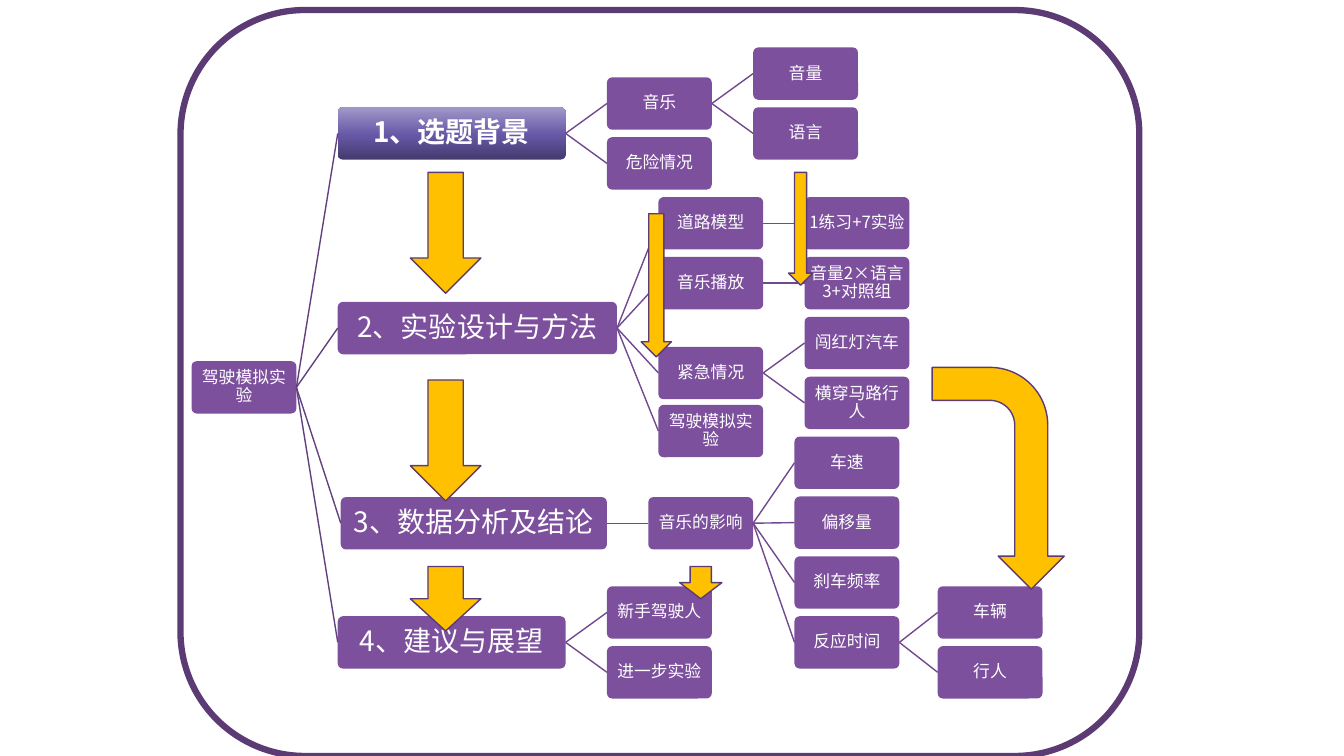
from copy import deepcopy
from lxml.etree import SubElement
from pptx import Presentation
from pptx.dml.color import RGBColor
from pptx.enum.shapes import MSO_CONNECTOR, MSO_SHAPE
from pptx.enum.text import MSO_ANCHOR, PP_ALIGN
from pptx.oxml.ns import qn
from pptx.util import Inches, Pt

FONT = "Noto Sans CJK SC"
PURPLE, EDGE, GOLD, WHITE = "7C509D", "5C3B74", "FFC000", "FFFFFF"
STEMS = ["63407E", "71498E"]  # lines from the root, lines further out
SHADES = [(0, "433A6D"), (0.48, "6859A8"), (1, "A198C9")]

# Grid in inches: ROW is the pitch of the leaves, GAP the space between levels
LEFT, TOP, ROW, GAP = 1.9, 0.47, 0.594, 0.41
WIDE, HIGH, PAD = 1.04, 0.52, 0.03


def node(text, row, *kids, wide=WIDE, shift=0):
    return dict(text=text, row=row, kids=kids, wide=wide, shift=shift)


# Mind map: text, grid row, children
TREE = node(
    "驾驶模拟实验", 5.24,
    node("1、选题背景", 1,
         node("音乐", 0.5, node("音量", 0), node("语言", 1)),
         node("危险情况", 1.5), wide=2.26),
    node("2、实验设计与方法", 4.25,
         node("道路模型", 2.5, node("1练习+7实验", 2.5)),
         node("音乐播放", 3.5, node("音量2×语言3+对照组", 3.5)),
         node("紧急情况", 5, node("闯红灯汽车", 4.5), node("横穿马路行人", 5.5)),
         node("驾驶模拟实验", 5.97), wide=2.77),
    node("3、数据分析及结论", 7.51,
         node("音乐的影响", 7.51,
              node("车速", 6.5), node("偏移量", 7.5), node("刹车频率", 8.5),
              node("反应时间", 9.5,
                   node("车辆", 9, shift=-0.03), node("行人", 10, shift=-0.03))),
         wide=2.64, shift=0.03),
    node("4、建议与展望", 9.5,
         node("新手驾驶人", 9), node("进一步实验", 10), wide=2.26),
)
FRAME = (1.79, 0.1, 9.51, 7.4)
DOWN, BENT = MSO_SHAPE.DOWN_ARROW, MSO_SHAPE.BENT_ARROW
# Arrows: shape, left, top, width, height, turn
ARROWS = [
    (DOWN, 4.07, 1.71, 0.7, 1.2, 0),
    (DOWN, 4.07, 3.77, 0.7, 1.2, 0),
    (DOWN, 4.07, 5.62, 0.7, 0.64, 0),
    (BENT, 8.8, 4.09, 2.2, 1.31, 90),
    (DOWN, 7.82, 1.71, 0.24, 1.12, 0),
    (DOWN, 6.36, 2.12, 0.3, 1.42, 0),
    (DOWN, 6.74, 5.62, 0.42, 0.32, 0),
]

deck = Presentation()
deck.slide_width, deck.slide_height = Inches(13.33), Inches(7.5)
slide = deck.slides.add_slide(deck.slide_layouts[6])
shapes = slide.shapes


def color(code):
    return RGBColor.from_string(code)


def add(kind, place, fill=None, line=None, weight=1):
    shape = shapes.add_shape(kind, *[Inches(v) for v in place])
    shape.shadow.inherit = False
    if fill:
        shape.fill.solid()
        shape.fill.fore_color.rgb = color(fill)
    else:
        shape.fill.background()
    if line:
        shape.line.color.rgb = color(line)
        shape.line.width = Pt(weight)
    else:
        shape.line.fill.background()
    return shape


def shade(shape):
    shape.fill.gradient()
    shape.fill.gradient_angle = 90
    stops = shape.element.spPr.find(qn("a:gradFill")).find(qn("a:gsLst"))
    stops.insert(1, deepcopy(stops[0]))
    for stop, (place, code) in zip(shape.fill.gradient_stops, SHADES):
        stop.position = place
        stop.color.rgb = color(code)


def label(shape, text, size, bold):
    frame = shape.text_frame
    frame.text, frame.word_wrap = text, True
    frame.vertical_anchor = MSO_ANCHOR.MIDDLE
    frame.margin_left = frame.margin_right = Inches(PAD)
    frame.margin_top = frame.margin_bottom = Inches(PAD)
    para = frame.paragraphs[0]
    para.alignment, para.line_spacing = PP_ALIGN.CENTER, 0.9
    run = para.runs[0]
    run.font.size, run.font.name, run.font.bold = Pt(size), FONT, bold
    run.font.color.rgb = color(WHITE)
    SubElement(run.font._element, qn("a:ea")).set("typeface", FONT)


def join(start, end, code):
    line = shapes.add_connector(MSO_CONNECTOR.STRAIGHT, 0, 0, 0, 0)
    line.begin_connect(start, 3)
    line.end_connect(end, 1)
    line.line.color.rgb = color(code)
    line.line.width = Pt(1)
    SubElement(line.element.spPr, qn("a:effectLst"))


def grow(item, left, level=0):
    left += item["shift"]
    place = (left, TOP + item["row"] * ROW, item["wide"], HIGH)
    box = add(MSO_SHAPE.ROUNDED_RECTANGLE, place, PURPLE)
    box.adjustments[0] = 0.1
    first = item is TREE["kids"][0]
    if first:
        shade(box)
    label(box, item["text"], 20 if level == 1 else 12, first)
    for kid in item["kids"]:
        join(box, grow(kid, left + item["wide"] + GAP, level + 1),
             STEMS[min(level, 1)])
    return box


# Mind map, frame and arrows, from back to front
grow(TREE, LEFT)
add(MSO_SHAPE.ROUNDED_RECTANGLE, FRAME, line=EDGE, weight=4.5)
for kind, *place, turn in ARROWS:
    add(kind, place, GOLD, EDGE).rotation = turn

deck.save("out.pptx")
